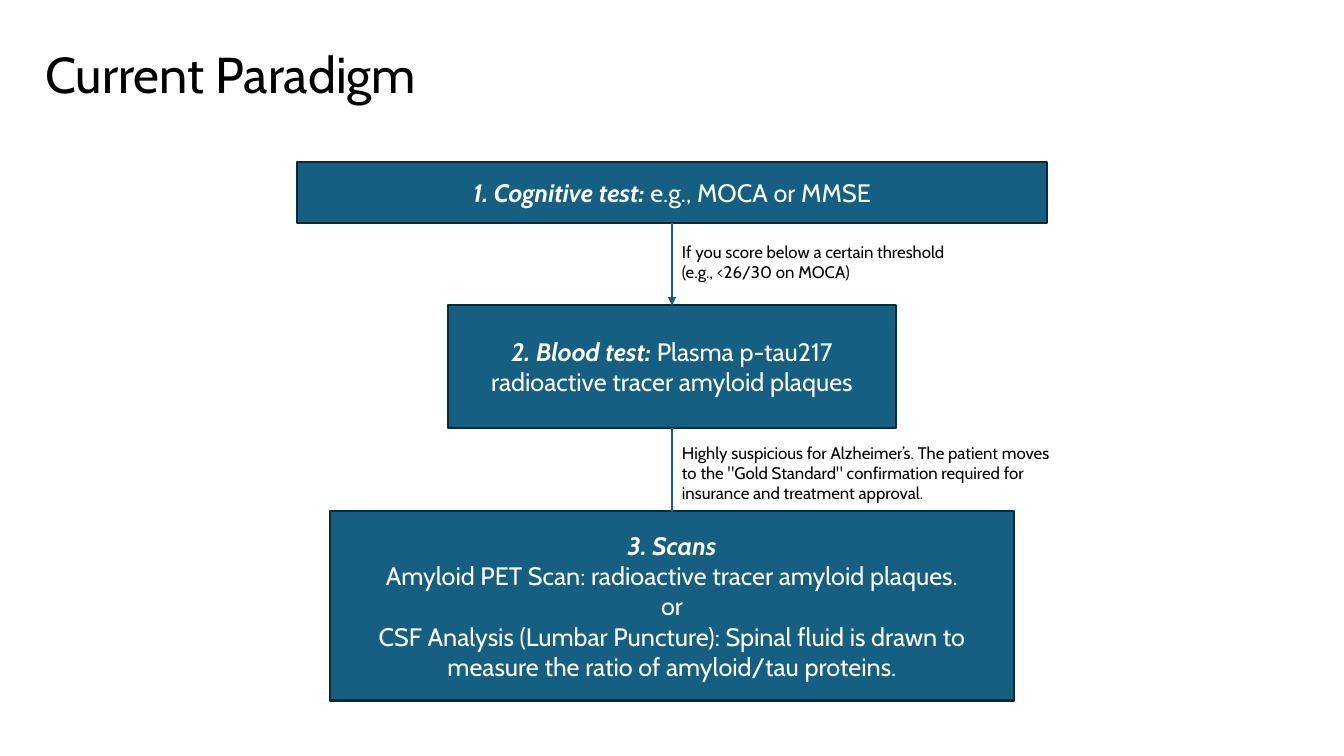
"""Build the Current Paradigm slide: three test steps joined by arrows."""
from lxml.etree import SubElement
from pptx import Presentation
from pptx.dml.color import RGBColor as RGB
from pptx.enum.shapes import MSO_CONNECTOR as LINK, MSO_SHAPE as SHAPE
from pptx.enum.text import MSO_ANCHOR as ANCHOR, PP_ALIGN as ALIGN
from pptx.oxml.ns import qn
from pptx.util import Inches, Pt

INK = {"fill": "156082", "edge": "092A39", "text": "000000", "light": "FFFFFF"}


def write(frame, lines, size=12, ink="text", align=ALIGN.LEFT, space=None, anchor=ANCHOR.TOP):
    """Fill a frame with (strong, plain) lines."""
    frame.word_wrap = True
    frame.vertical_anchor = anchor
    for i, parts in enumerate(lines):
        para = frame.add_paragraph() if i else frame.paragraphs[0]
        para.alignment = align
        para.line_spacing = space
        for text, strong in zip(parts, (True, False)):
            if text:
                run = para.add_run()
                run.text = text
                font = run.font
                font.name, font.size = "Cabin", Pt(size)
                font.bold = font.italic = strong
                font.color.rgb = RGB.from_string(INK[ink])


deck = Presentation()
deck.slide_width, deck.slide_height = Inches(13.33), Inches(7.5)
col, row = deck.slide_width / 100, deck.slide_height / 100
mid = int(50 * col)
slide = deck.slides.add_slide(deck.slide_layouts[5])
shapes = slide.shapes

title = shapes.title
title.left, title.top = int(3.38 * col), int(5.73 * row)
title.width, title.height = int(93.1 * col), int(8.13 * row)
frame = title.text_frame
frame.margin_left = frame.margin_right = frame.margin_top = frame.margin_bottom = 0
write(frame, [("", "Current Paradigm")], size=36, space=Pt(42.7))

steps = [
    (21.47, 55.8, 8, [("1. Cognitive test: ", "e.g., MOCA or MMSE")]),
    (40.4, 33.3, 16.2, [
        ("2. Blood test: ", "Plasma p-tau217"),
        ("", "radioactive tracer amyloid plaques")]),
    (67.6, 50.9, 25.07, [
        ("3. Scans", ""),
        ("", "Amyloid PET Scan: radioactive tracer amyloid plaques."),
        ("", "or"),
        ("", "CSF Analysis (Lumbar Puncture): Spinal fluid is drawn to "
             "measure the ratio of amyloid/tau proteins.")]),
]
boxes = []
for top, wide, high, lines in steps:
    box = shapes.add_shape(SHAPE.RECTANGLE, int((50 - wide / 2) * col), int(top * row),
                           int(wide * col), int(high * row))
    box.shadow.inherit = False
    box.fill.solid()
    box.fill.fore_color.rgb = RGB.from_string(INK["fill"])
    box.line.color.rgb = RGB.from_string(INK["edge"])
    box.line.width = Pt(1.5)
    write(box.text_frame, lines, size=18, ink="light", align=ALIGN.CENTER, anchor=ANCHOR.MIDDLE)
    boxes.append(box)

notes = [
    (31.33, 33.3, 6.67, [
        ("", "If you score below a certain threshold"),
        ("", "(e.g., <26/30 on MOCA)")]),
    (57.87, 29.2, 9.47, [
        ("", "Highly suspicious for Alzheimer’s. The patient moves to the "
             "\"Gold Standard\" confirmation required for insurance and treatment approval.")]),
]
for top, wide, high, lines in notes:
    note = shapes.add_textbox(mid, int(top * row), int(wide * col), int(high * row))
    write(note.text_frame, lines)

for box, end in zip(boxes, (40.4, 69.07)):
    link = shapes.add_connector(LINK.STRAIGHT, mid, box.top + box.height, mid, int(end * row))
    link.begin_connect(box, 2)
    if end == 40.4:
        link.end_connect(boxes[1], 0)
    link.line.color.rgb = RGB.from_string(INK["fill"])
    link.line.width = Pt(1.5)
    SubElement(link.line._get_or_add_ln(), qn("a:tailEnd"), type="triangle")
    SubElement(link._element.spPr, qn("a:effectLst"))

deck.save("out.pptx")
